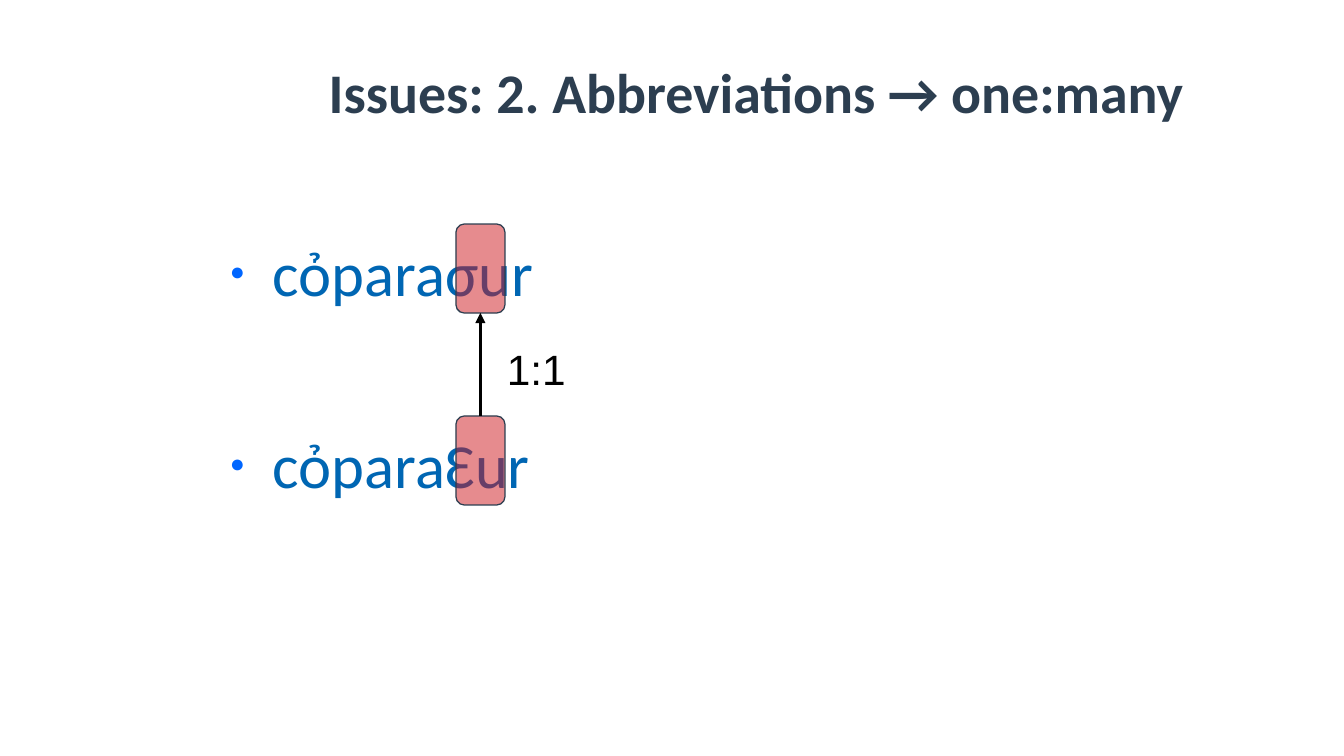
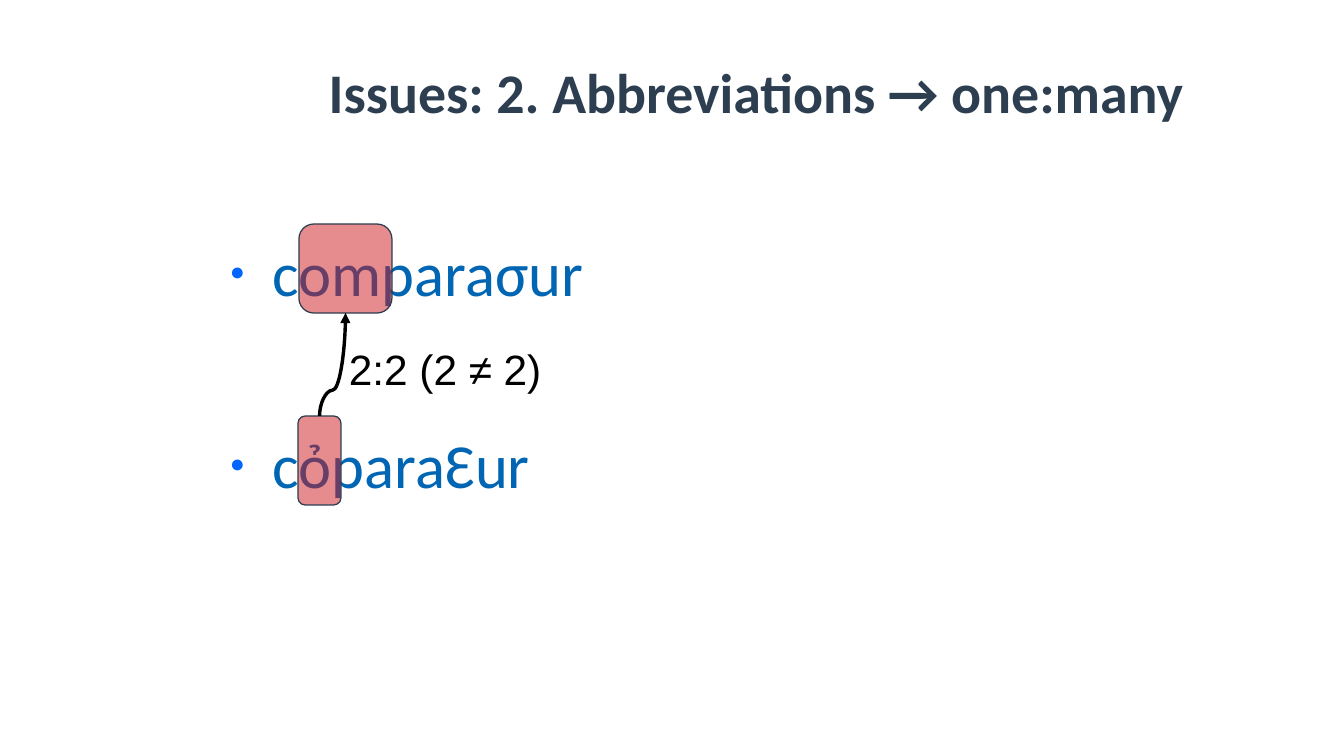
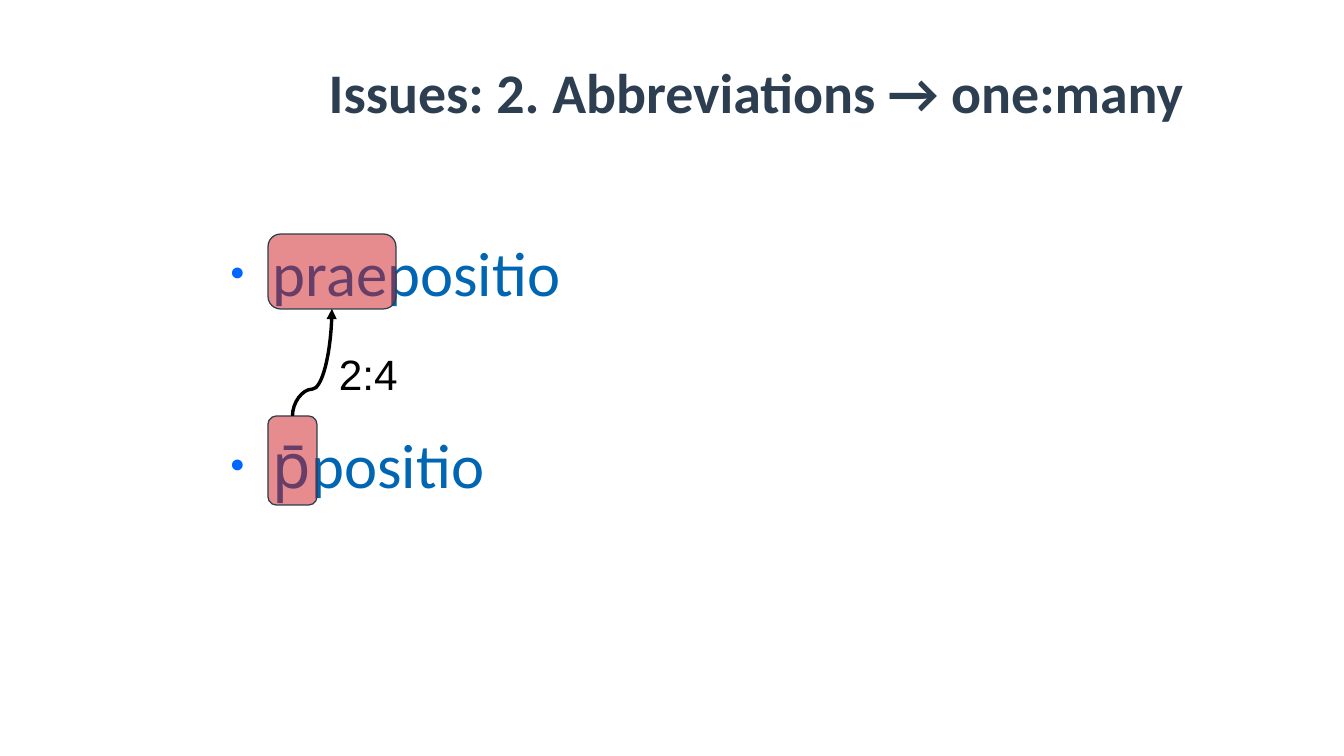
from lxml import etree
from pptx import Presentation
from pptx.dml.color import RGBColor
from pptx.enum.shapes import MSO_CONNECTOR, MSO_SHAPE
from pptx.enum.text import MSO_ANCHOR, MSO_AUTO_SIZE, PP_ALIGN
from pptx.oxml.ns import qn
from pptx.util import Pt

TITLE = "Issues: 2. Abbreviations → one:many"
EXAMPLES = [
    {
        "expanded": ("cỏparaσur", (456, 224, 49, 89)),
        "abbreviated": ("cỏparaƐur", (456, 416, 49, 89)),
        "ratio": ("1:1", (495, 337, 83, 60)),
    },
    {
        "expanded": ("comparaσur", (299, 224, 93, 89)),
        "abbreviated": ("cỏparaƐur", (298, 416, 43, 89)),
        "ratio": ("2:2 (2 ≠ 2)", (337, 337, 217, 60)),
    },
    {
        "expanded": ("praepositio", (268, 234, 128, 75)),
        "abbreviated": ("p̄positio", (268, 416, 49, 89)),
        "ratio": ("2:4", (327, 342, 83, 60)),
    },
]

SCALE = 914400 / 122
SLIDE_SIZE = (1344, 756)
TITLE_AREA = (216, 29, 1081, 124)
WORD_AREAS = {
    "abbreviated": (216, 426, 1108, 73),
    "expanded": (216, 234, 1108, 73),
}
BULLET_INDENT = (57, -43)
COLORS = {
    "title": "2C3E50",
    "word": "0066B3",
    "bullet": "0066FF",
    "highlight": "CE181E",
    "outline": "2C3E50",
    "black": "000000",
}
HEADING_FONT = "Calibri"
LABEL_FONT = "Arial"
CURVE = MSO_CONNECTOR.CURVE
HIGHLIGHT_SHAPE = MSO_SHAPE.FLOWCHART_ALTERNATE_PROCESS
CENTER = PP_ALIGN.CENTER
MIDDLE = MSO_ANCHOR.MIDDLE
TOP = MSO_ANCHOR.TOP
GROW = MSO_AUTO_SIZE.SHAPE_TO_FIT_TEXT
TOP_SIDE, BOTTOM_SIDE = 0, 2


def emu(pixels):
    return round(pixels * SCALE)


def color(name):
    return RGBColor.from_string(COLORS[name])


def add_text(slide, text, area, font, size, color_name, anchor=TOP, inset=(0, 0)):
    shape = slide.shapes.add_textbox(*map(emu, area))
    frame = shape.text_frame
    frame.word_wrap = True
    frame.vertical_anchor = anchor
    frame.margin_left = frame.margin_right = emu(inset[0])
    frame.margin_top = frame.margin_bottom = emu(inset[1])
    run = frame.paragraphs[0].add_run()
    run.text = text
    run.font.name = font
    run.font.size = Pt(size)
    run.font.color.rgb = color(color_name)
    return frame


def add_title(slide):
    frame = add_text(slide, TITLE, TITLE_AREA, HEADING_FONT, 33, "title", MIDDLE)
    paragraph = frame.paragraphs[0]
    paragraph.alignment = CENTER
    paragraph.runs[0].font.bold = True


def add_word(slide, text, area):
    frame = add_text(slide, text, area, HEADING_FONT, 37, "word")
    properties = frame.paragraphs[0]._p.get_or_add_pPr()
    margin, indent = BULLET_INDENT
    properties.set("marL", str(emu(margin)))
    properties.set("indent", str(emu(indent)))
    bullet_color = etree.SubElement(properties, qn("a:buClr"))
    etree.SubElement(bullet_color, qn("a:srgbClr"), val=COLORS["bullet"])
    etree.SubElement(properties, qn("a:buSzPct"), val="40000")
    etree.SubElement(properties, qn("a:buFont"), typeface=LABEL_FONT)
    etree.SubElement(properties, qn("a:buChar"), char="●")


def add_highlight(slide, area):
    shape = slide.shapes.add_shape(HIGHLIGHT_SHAPE, *map(emu, area))
    shape.shadow.inherit = False
    shape.fill.solid()
    shape.fill.fore_color.rgb = color("highlight")
    fill_color = shape._element.spPr.find(qn("a:solidFill")).find(qn("a:srgbClr"))
    etree.SubElement(fill_color, qn("a:alpha"), val="50000")
    shape.line.color.rgb = color("outline")
    shape.line.width = Pt(0)
    return shape


def add_arrow(slide, source, target):
    begin_x = source.left + source.width // 2
    end_x = target.left + target.width // 2
    begin_y, end_y = source.top, target.top + target.height
    connector = slide.shapes.add_connector(CURVE, begin_x, begin_y, end_x, end_y)
    connector.begin_connect(source, TOP_SIDE)
    connector.end_connect(target, BOTTOM_SIDE)

    length, offset = begin_y - end_y, end_x - begin_x
    connector.left = (begin_x + end_x - length) // 2
    connector.top = (begin_y + end_y - offset) // 2
    connector.width, connector.height = length, offset
    properties = connector._element.spPr
    transform = properties.find(qn("a:xfrm"))
    for name, value in (("rot", "5400000"), ("flipH", "1"), ("flipV", "1")):
        transform.set(name, value)
    adjustments = properties.find(qn("a:prstGeom")).find(qn("a:avLst"))
    etree.SubElement(adjustments, qn("a:gd"), name="adj1", fmla="val 25000")

    connector.line.color.rgb = color("black")
    connector.line.width = Pt(0)
    line = properties.find(qn("a:ln"))
    etree.SubElement(line, qn("a:tailEnd"), type="triangle")
    etree.SubElement(properties, qn("a:effectLst"))


def add_ratio(slide, text, area):
    frame = add_text(slide, text, area, LABEL_FONT, 25, "black", inset=(12, 6))
    frame.word_wrap = False
    frame.auto_size = GROW


def main():
    presentation = Presentation()
    presentation.slide_width, presentation.slide_height = map(emu, SLIDE_SIZE)
    blank_layout = presentation.slide_layouts[6]
    for example in EXAMPLES:
        slide = presentation.slides.add_slide(blank_layout)
        add_title(slide)
        for form, area in WORD_AREAS.items():
            add_word(slide, example[form][0], area)
        highlights = [add_highlight(slide, example[form][1]) for form in WORD_AREAS]
        add_arrow(slide, *highlights)
        add_ratio(slide, *example["ratio"])
    presentation.save("out.pptx")


if __name__ == "__main__":
    main()
